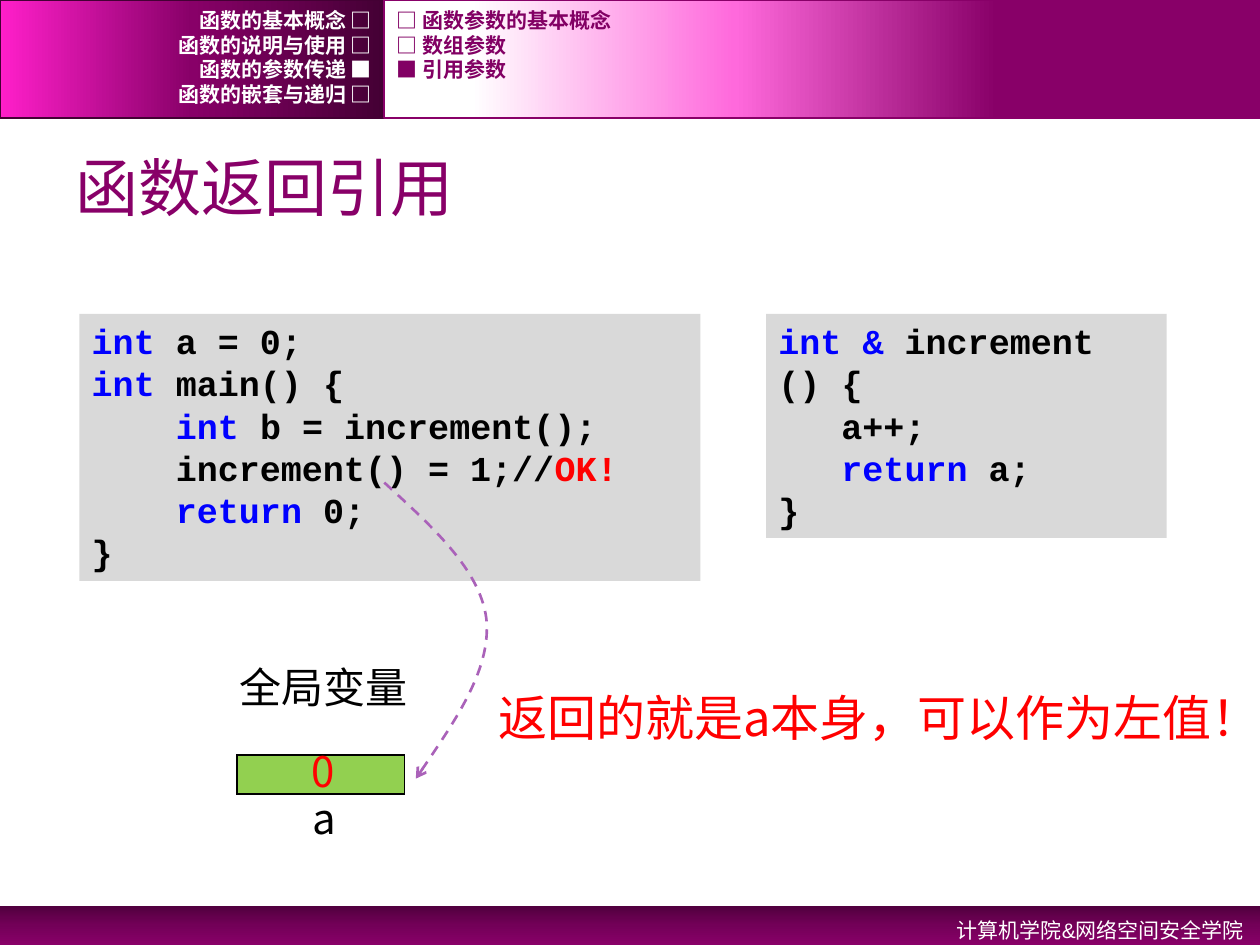
from dataclasses import dataclass

from lxml.etree import SubElement
from pptx import Presentation
from pptx.dml.color import RGBColor
from pptx.enum.dml import MSO_LINE
from pptx.enum.shapes import MSO_SHAPE
from pptx.enum.text import MSO_ANCHOR, MSO_AUTO_SIZE, PP_ALIGN
from pptx.oxml.ns import qn
from pptx.util import Inches, Pt

BLACK = RGBColor(0, 0, 0)
WHITE = RGBColor(255, 255, 255)
RED = RGBColor(255, 0, 0)
BLUE = RGBColor(0, 0, 255)
GREEN = RGBColor(0x92, 0xD0, 0x50)
GRAY = RGBColor(0xD9, 0xD9, 0xD9)
PLUM = RGBColor(0x88, 0, 0x68)
DARK = RGBColor(0x44, 0, 0x34)
WINE = RGBColor(0x82, 0, 0x64)
LILAC = RGBColor(0xAA, 0x62, 0xB9)

SANS, MONO, CJK = "Arial", "Courier New", "Noto Sans CJK SC"


@dataclass
class Box:
    left: float
    top: float
    width: float
    height: float

    def emu(self) -> list:
        return [Inches(v) for v in (self.left, self.top, self.width, self.height)]


@dataclass
class Band:
    box: Box
    stops: list
    angle: int
    line: RGBColor | None = None


@dataclass
class Label:
    box: Box
    text: str
    color: RGBColor
    font: dict
    frame: dict
    para: dict


def apply(target, values: dict) -> None:
    for name, value in values.items():
        setattr(target, name, value)


def add_run(para, text: str, color: RGBColor, font: dict) -> None:
    run = para.add_run()
    run.text = text
    apply(run.font, font)
    run.font.color.rgb = color
    SubElement(run.font._element, qn("a:ea"), typeface=CJK)


def add_rect(slide, box: Box):
    shape = slide.shapes.add_shape(MSO_SHAPE.RECTANGLE, *box.emu())
    shape.shadow.inherit = False
    shape.line.fill.background()
    return shape


def draw_band(slide, band: Band) -> None:
    shape = add_rect(slide, band.box)
    shape.fill.gradient()
    shape.fill.gradient_angle = (360 - band.angle) % 360
    stops = shape._element.spPr.find(".//" + qn("a:gsLst"))
    for old in list(stops):
        stops.remove(old)
    for spot, color in band.stops:
        stop = SubElement(stops, qn("a:gs"), pos=str(spot * 1000))
        SubElement(stop, qn("a:srgbClr"), val=str(color))
    if band.line is not None:
        shape.line.color.rgb = band.line
        shape.line.width = Pt(1)


def draw_label(slide, label: Label) -> None:
    frame = slide.shapes.add_textbox(*label.box.emu()).text_frame
    apply(frame, label.frame)
    para = frame.paragraphs[0]
    apply(para, label.para)
    add_run(para, label.text, label.color, label.font)


def draw_code(slide, box: Box, lines: list) -> None:
    """Draw a gray panel; each line is a list of (text, colour) runs."""
    shape = add_rect(slide, box)
    shape.fill.solid()
    shape.fill.fore_color.rgb = GRAY
    frame = shape.text_frame
    apply(frame, {"word_wrap": True, "vertical_anchor": MSO_ANCHOR.TOP,
                  "auto_size": MSO_AUTO_SIZE.SHAPE_TO_FIT_TEXT})
    for row, line in enumerate(lines):
        para = frame.add_paragraph() if row else frame.paragraphs[0]
        para.alignment = PP_ALIGN.LEFT
        for text, color in line:
            add_run(para, text, color, CODE)


def draw_cell(slide, box: Box) -> None:
    """Draw the one-cell table that stands for the variable."""
    table = slide.shapes.add_table(1, 1, *box.emu()).table
    cell = table.cell(0, 0)
    apply(cell, {"margin_top": 0, "margin_bottom": 0})
    SubElement(cell.text_frame.paragraphs[0]._p, qn("a:endParaRPr"), sz="1200")
    props = cell._tc.get_or_add_tcPr()
    for side in ("lnL", "lnR", "lnT", "lnB"):
        line = SubElement(props, qn("a:" + side), w=str(Pt(1)))
        fill = SubElement(line, qn("a:solidFill"))
        SubElement(fill, qn("a:srgbClr"), val=str(BLACK))
    cell.fill.solid()
    cell.fill.fore_color.rgb = GREEN


def draw_curve(slide, start: tuple, points: list) -> None:
    """Draw a dashed arrow of cubic curves, three points to each."""
    pen = slide.shapes.build_freeform(Inches(start[0]), Inches(start[1]))
    pen.add_line_segments([(Inches(x), Inches(y)) for x, y in points], close=False)
    shape = pen.convert_to_shape()
    shape.shadow.inherit = False
    shape.fill.background()
    apply(shape.line, {"width": Pt(1.5), "dash_style": MSO_LINE.DASH})
    shape.line.color.rgb = LILAC
    SubElement(shape.line._get_or_add_ln(), qn("a:tailEnd"), type="arrow")
    route = shape._element.spPr.find(".//" + qn("a:path"))
    steps = route.findall(qn("a:lnTo"))
    for first in range(0, len(steps), 3):
        curve = SubElement(route, qn("a:cubicBezTo"))
        for step in steps[first:first + 3]:
            curve.append(step[0])
            route.remove(step)


CODE = {"name": MONO, "size": Pt(20), "bold": True}
MENU = {"name": MONO, "size": Pt(12), "bold": True}
NOTE = {"name": CJK, "size": Pt(24)}
GROW = {"word_wrap": True, "auto_size": MSO_AUTO_SIZE.SHAPE_TO_FIT_TEXT}
TIGHT = {**GROW, "word_wrap": False}
MID = {"word_wrap": True, "vertical_anchor": MSO_ANCHOR.MIDDLE}
LEFT, RIGHT = {"alignment": PP_ALIGN.LEFT}, {"alignment": PP_ALIGN.RIGHT}

BANDS = [
    Band(Box(0, 7.19, 10, 0.31),
         [(0, RGBColor(0x51, 0, 0x3E)), (50, RGBColor(0x73, 0, 0x58)), (100, PLUM)], 90),
    Band(Box(0, 0, 3.05, 0.94),
         [(0, DARK), (50, PLUM), (100, RGBColor(255, 0x1F, 0xCA))], 180, DARK),
    Band(Box(3.05, 0, 6.95, 0.94),
         [(30, PLUM), (60, RGBColor(255, 0x69, 0xDC)), (90, WHITE)], 180, PLUM),
]
HEADS = [
    Label(Box(6.42, 7.19, 3.55, 0.32), "计算机学院&网络空间安全学院", WHITE,
          {"name": SANS, "size": Pt(12)}, GROW, {**RIGHT, "line_spacing": 1.2}),
    Label(Box(0.5, 1.09, 9, 0.78), "函数返回引用", PLUM,
          {"name": SANS, "size": Pt(36)}, MID, LEFT),
]
NOTES = [
    Label(Box(2.38, 6.24, 0.37, 0.5), "a", BLACK, NOTE, TIGHT, LEFT),
    Label(Box(2.37, 5.87, 0.39, 0.5), "0", RED, NOTE, TIGHT, LEFT),
    Label(Box(1.8, 5.2, 1.55, 0.5), "全局变量", BLACK, NOTE, TIGHT, LEFT),
    Label(Box(3.86, 5.41, 5.89, 0.57), "返回的就是a本身，可以作为左值！", RED,
          {**NOTE, "size": Pt(28)}, GROW, LEFT),
]
MENUS = [
    (0, 3.05, WHITE, RIGHT, ["函数的基本概念 □", "函数的说明与使用 □",
                             "函数的参数传递 ■", "函数的嵌套与递归 □"]),
    (3.05, 6.02, WINE, LEFT, ["□ 函数参数的基本概念", "□ 数组参数", "■ 引用参数"]),
]
MAIN = [
    [("int", BLUE), (" a = 0;", BLACK)],
    [("int", BLUE), (" main() {", BLACK)],
    [("    ", RED), ("int", BLUE), (" b = increment();", BLACK)],
    [("    increment() = 1;//", BLACK), ("OK!", RED)],
    [("    ", BLACK), ("return", BLUE), (" 0;", BLACK)],
    [("}", BLACK)],
]
FUNC = [
    [("int &", BLUE), (" increment () {", BLACK)],
    [("\ta++;", BLACK)],
    [("\t", BLACK), ("return", BLUE), (" a;", BLACK)],
    [("}", BLACK)],
]


def main() -> None:
    deck = Presentation()
    apply(deck, {"slide_width": Inches(10), "slide_height": Inches(7.5)})
    slide = deck.slides.add_slide(deck.slide_layouts[6])
    for band in BANDS:
        draw_band(slide, band)
    for label in HEADS:
        draw_label(slide, label)
    draw_cell(slide, Box(1.88, 5.99, 1.33, 0.31))
    for label in NOTES:
        draw_label(slide, label)
    draw_code(slide, Box(0.63, 2.49, 4.93, 2.12), MAIN)
    draw_code(slide, Box(6.08, 2.49, 3.18, 1.78), FUNC)
    draw_curve(slide, (3.05, 3.83), [(3.43, 4.18), (3.81, 4.52), (3.86, 4.91),
                                     (3.9, 5.3), (3.6, 5.74), (3.3, 6.18)])
    for left, width, color, para, items in MENUS:
        for row, text in enumerate(items):
            box = Box(left, 0.06 + row * 0.196, width, 0.2)
            draw_label(slide, Label(box, text, color, MENU, MID, para))
    deck.save("out.pptx")


if __name__ == "__main__":
    main()
